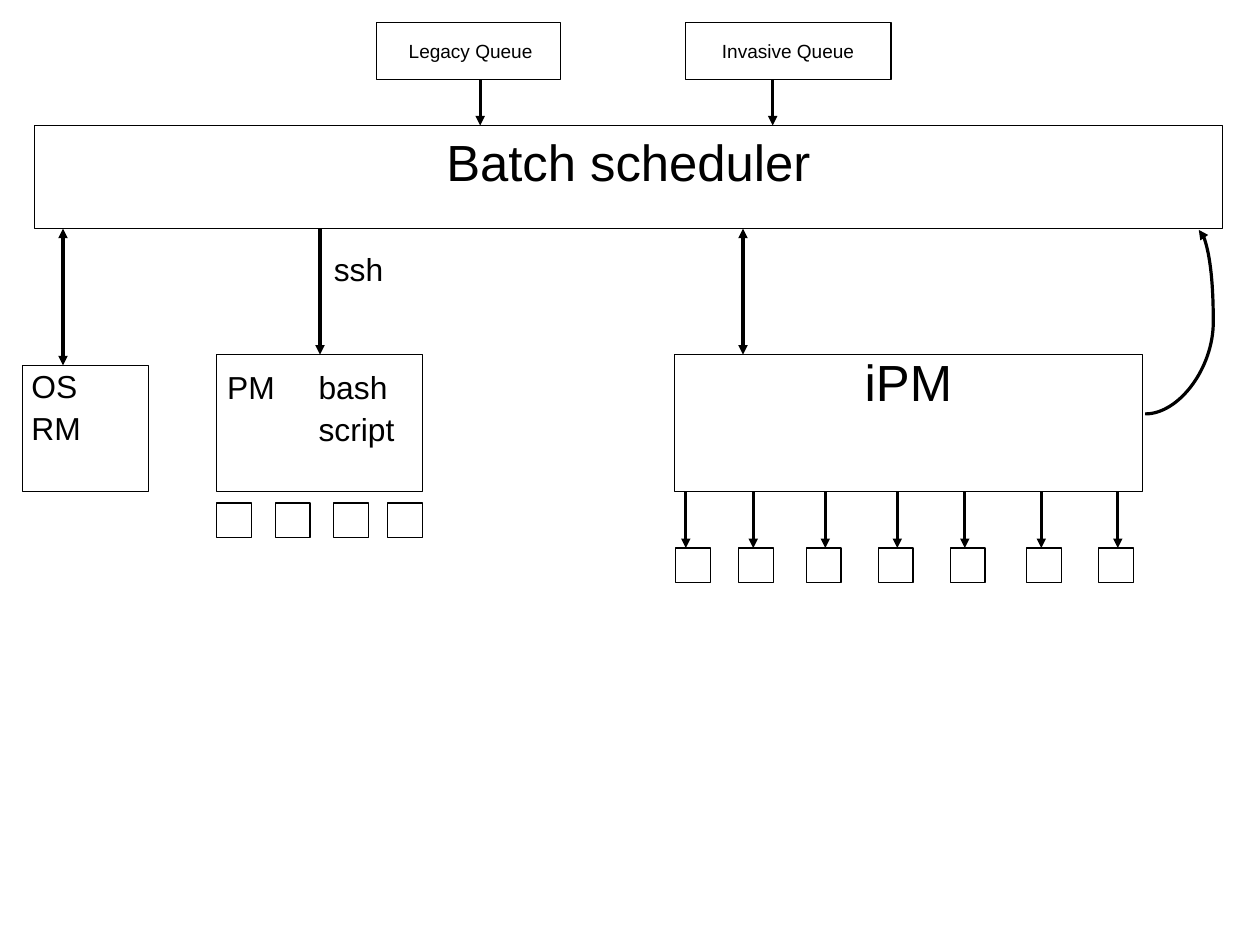
from dataclasses import dataclass

from lxml import etree
from pptx import Presentation
from pptx import util as u
from pptx.dml.color import RGBColor
from pptx.enum import shapes, text
from pptx.oxml import ns


@dataclass(frozen=True)
class Theme:
    font: str = "Arial"
    ink: RGBColor = RGBColor(0, 0, 0)
    heading: int = 32
    body: int = 20
    small: int = 12
    outline: float = 0.79
    leading: float = 26.4


THEME = Theme()
LEFT, CENTER = text.PP_ALIGN.LEFT, text.PP_ALIGN.CENTER
TOP, MIDDLE = text.MSO_ANCHOR.TOP, text.MSO_ANCHOR.MIDDLE

# All lengths are in centimetres; a frame is left, top, width, height.
SLIDE_SIZE = (28, 21)
TITLE = "Batch scheduler"
SCHEDULER = (0.77, 2.79, 26.4, 2.29)
OS_RM = (0.5, 8.12, 2.8, 2.8)
PM = (4.82, 7.88, 4.57, 3.04)
IPM = (14.99, 7.88, 10.4, 3.04)
LEGACY = (8.37, 0.5, 4.08, 1.27)
INVASIVE = (15.23, 0.5, 4.57, 1.27)

# frame, lines, type size, alignment, anchor, left inset, top inset
BOXES = [
    (OS_RM, ["OS", "RM"], THEME.body, LEFT, TOP, 0.2, -0.05),
    (PM, ["PM\tbash", "\tscript"], THEME.body, LEFT, TOP, 0.23, 0.2),
    (IPM, ["iPM"], THEME.heading, CENTER, TOP, 0, -0.08),
    (LEGACY, ["Legacy Queue"], THEME.small, CENTER, MIDDLE, 0.1, 0),
    (INVASIVE, ["Invasive Queue"], THEME.small, CENTER, MIDDLE, 0, 0),
]
PM_TAB = 2.03
SSH_LABEL = (7.37, 5.56, 1.6, 0.9)

CORE_SIDE = 0.77
PM_CORES_TOP, PM_CORES = 11.18, [4.82, 6.12, 7.42, 8.62]
IPM_CORES_TOP = 12.18
# left edge of each core, x of the arrow that reaches it
IPM_CORES = [(15.02, 15.24), (16.42, 16.74), (17.92, 18.34), (19.52, 19.94),
             (21.12, 21.44), (22.82, 23.14), (24.42, 24.84)]

# x, upper frame, lower frame, both ends have heads
LINKS = [
    (10.67, LEGACY, SCHEDULER, False),
    (17.17, INVASIVE, SCHEDULER, False),
    (1.4, SCHEDULER, OS_RM, True),
    (7.11, SCHEDULER, PM, False),
    (16.51, SCHEDULER, IPM, True),
]
FEEDBACK_START, FEEDBACK_END = (25.45, 9.2), (26.64, 5.11)
FEEDBACK_BULGE = 127200


def cm(values):
    return [u.Cm(value) for value in values]


def bottom(frame):
    return frame[1] + frame[3]


def outline(box):
    box.fill.background()
    box.line.color.rgb = THEME.ink
    box.line.width = u.Pt(THEME.outline)


def write(box, lines, size, align, anchor, left=0, top=0):
    frame = box.text_frame
    frame.auto_size = text.MSO_AUTO_SIZE.NONE
    frame.word_wrap = True
    frame.vertical_anchor = anchor
    frame.margin_left, frame.margin_top = cm((left, top))
    frame.margin_right = frame.margin_bottom = 0
    frame.text = "\n".join(lines)
    for para in frame.paragraphs:
        if "\t" in para.text:
            tabs = etree.SubElement(para._p.get_or_add_pPr(), ns.qn("a:tabLst"))
            etree.SubElement(tabs, ns.qn("a:tab"), pos=str(u.Cm(PM_TAB)), algn="l")
        para.alignment = align
        if len(lines) > 1:
            para.line_spacing = u.Pt(THEME.leading)
        for span in para.runs:
            span.font.name = THEME.font
            span.font.size = u.Pt(size)
            span.font.color.rgb = THEME.ink


def add_box(page, frame):
    box = page.shapes.add_shape(shapes.MSO_SHAPE.RECTANGLE, *cm(frame))
    box.shadow.inherit = False
    outline(box)
    return box


def add_arrow(page, start, end, both=False, kind=shapes.MSO_CONNECTOR.STRAIGHT):
    arrow = page.shapes.add_connector(kind, *cm(start + end))
    arrow.line.color.rgb = THEME.ink
    arrow.line.width = 0
    line = arrow.line._get_or_add_ln()
    for tag in ("a:headEnd", "a:tailEnd") if both else ("a:tailEnd",):
        etree.SubElement(line, ns.qn(tag), type="triangle")
    etree.SubElement(arrow._element.spPr, ns.qn("a:effectLst"))
    return arrow


def main():
    deck = Presentation()
    deck.slide_width, deck.slide_height = cm(SLIDE_SIZE)
    page = deck.slides.add_slide(deck.slide_layouts[5])

    title = page.shapes.title
    title.left, title.top, title.width, title.height = cm(SCHEDULER)
    outline(title)
    write(title, [TITLE], THEME.heading, CENTER, TOP, top=0.12)

    for frame, *content in BOXES:
        write(add_box(page, frame), *content)
    ssh = page.shapes.add_textbox(*cm(SSH_LABEL))
    write(ssh, ["ssh"], THEME.body, LEFT, TOP, left=0.05)

    for left in PM_CORES:
        add_box(page, (left, PM_CORES_TOP, CORE_SIDE, CORE_SIDE))
    for left, x in IPM_CORES:
        add_box(page, (left, IPM_CORES_TOP, CORE_SIDE, CORE_SIDE))
        add_arrow(page, (x, bottom(IPM)), (x, IPM_CORES_TOP))

    for x, upper, lower, both in LINKS:
        add_arrow(page, (x, bottom(upper)), (x, lower[1]), both)

    feedback = add_arrow(page, FEEDBACK_START, FEEDBACK_END,
                         kind=shapes.MSO_CONNECTOR.CURVE)
    guides = feedback._element.spPr.find(ns.qn("a:prstGeom")).get_or_add_avLst()
    etree.SubElement(guides, ns.qn("a:gd"), name="adj1", fmla=f"val {FEEDBACK_BULGE}")

    deck.save("out.pptx")


if __name__ == "__main__":
    main()
